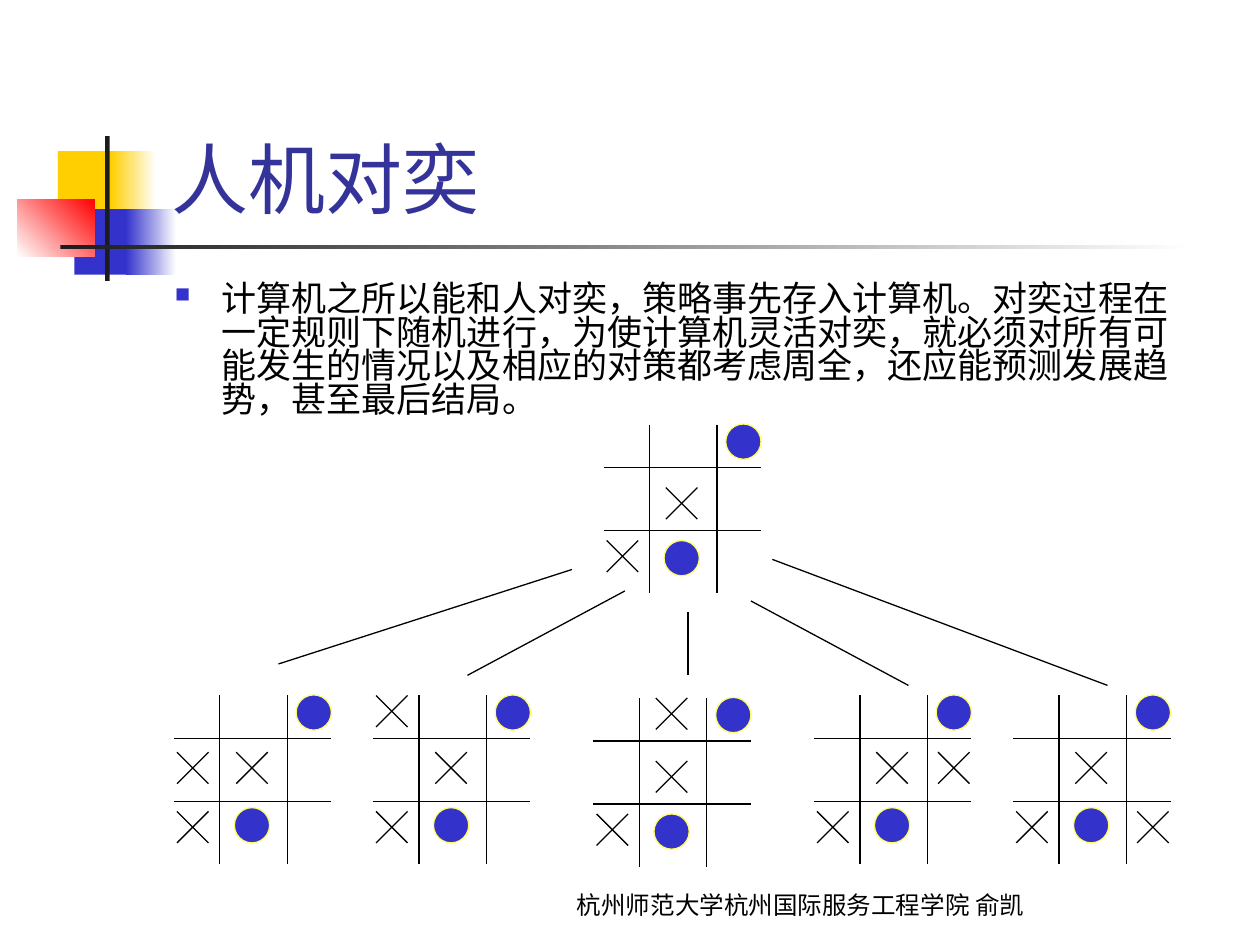
from lxml import etree
from pptx import Presentation
from pptx.dml.color import RGBColor
from pptx.enum.shapes import MSO_CONNECTOR, MSO_SHAPE
from pptx.enum.text import MSO_ANCHOR, PP_ALIGN
from pptx.oxml.ns import qn
from pptx.util import Inches, Pt

LINE = MSO_CONNECTOR.STRAIGHT
RECT, ROUND, OVAL = MSO_SHAPE.RECTANGLE, MSO_SHAPE.ROUNDED_RECTANGLE, MSO_SHAPE.OVAL
TOP, BOTTOM = MSO_ANCHOR.TOP, MSO_ANCHOR.BOTTOM
LEFT, CENTER = PP_ALIGN.LEFT, PP_ALIGN.CENTER

COLS, ROWS = 100, 75
BLACK, WHITE, DARK = "000000", "FFFFFF", "1C1C1C"
BLUE, NAVY, YELLOW, RED, PALE = "3333CC", "333399", "FFCF01", "FF0000", "FFFF66"
LATIN, CJK = "Lato", "Noto Sans CJK SC"


def rgb(value):
    """Turn a hex string into a colour."""
    return RGBColor.from_string(value)


class Deck:
    """Hold the style and the current slide, measured on a 100 by 75 grid."""

    def __init__(self):
        self.prs = Presentation()
        self.prs.slide_width, self.prs.slide_height = Inches(10), Inches(7.5)
        self.s = self.prs.slides.add_slide(self.prs.slide_layouts[6])

    def at(self, x, y):
        """Turn columns and rows into slide lengths."""
        return (round(self.prs.slide_width * x / COLS),
                round(self.prs.slide_height * y / ROWS))

    def shape(self, kind, x, y, w, h, fill, fade=None, angle=0, line=None, adj=None):
        """Add a preset shape with a plain or fading fill."""
        sp = self.s.shapes.add_shape(kind, *self.at(x, y), *self.at(w, h))
        sp.shadow.inherit = False
        if adj is not None:
            sp.adjustments[0] = adj
        if fade:
            sp.fill.gradient()
            sp.fill.gradient_angle = angle
            for stop, color, place in zip(sp.fill.gradient_stops, (fill, fade), (0, 1)):
                stop.color.rgb, stop.position = rgb(color), place
        else:
            sp.fill.solid()
            sp.fill.fore_color.rgb = rgb(fill)
        if line:
            sp.line.color.rgb, sp.line.width = rgb(line), Pt(0.75)
        else:
            sp.line.fill.background()

    def line(self, x1, y1, x2, y2):
        """Add a thin black line."""
        sp = self.s.shapes.add_connector(LINE, *self.at(x1, y1), *self.at(x2, y2))
        sp.line.color.rgb, sp.line.width = rgb(BLACK), Pt(0.75)
        etree.SubElement(sp._element.spPr, qn("a:effectLst"))

    def text(self, x, y, w, h, words, size, font=LATIN, color=BLACK,
             anchor=TOP, align=LEFT, spacing=1.0):
        """Add a one-paragraph text box and return the paragraph."""
        tf = self.s.shapes.add_textbox(*self.at(x, y), *self.at(w, h)).text_frame
        tf.word_wrap, tf.vertical_anchor = True, anchor
        p = tf.paragraphs[0]
        p.alignment, p.line_spacing = align, spacing
        r = p.add_run()
        r.text = words
        r.font.name, r.font.size, r.font.color.rgb = font, Pt(size), rgb(color)
        etree.SubElement(r.font._element, qn("a:ea"), typeface=CJK)
        return p

    def bullet(self, p, indent, color):
        """Give a paragraph a small square bullet and a hanging indent."""
        width = self.at(indent, 0)[0]
        pPr = p._p.get_or_add_pPr()
        pPr.set("marL", str(width))
        pPr.set("indent", str(-width))
        clr = etree.SubElement(pPr, qn("a:buClr"))
        etree.SubElement(clr, qn("a:srgbClr"), val=color)
        etree.SubElement(pPr, qn("a:buSzPct"), val="60000")
        etree.SubElement(pPr, qn("a:buChar"), char="■")

    def cross(self, x, y, r=1.25):
        """Add a cross around a centre."""
        for d in (r, -r):
            self.line(x - d, y - r, x + d, y + r)

    def disc(self, x, y, r=1.4):
        """Add a disc around a centre."""
        self.shape(OVAL, x - r, y - r, 2 * r, 2 * r, BLUE, line=PALE)

    def board(self, x, y, crosses, mid=5.75, low=10.3):
        """Add a noughts and crosses board with crosses in (column, row) cells."""
        for dy in (3.4, 8.4):
            self.line(x, y + dy, x + 12.5, y + dy)
        for dx in (3.65, 9):
            self.line(x + dx, y, x + dx, y + 13.4)
        centres, levels = (1.5, 6.2, 11.1), (1.25, mid, 10.45)
        for col, row in crosses:
            self.cross(x + centres[col], y + levels[row])
        self.disc(x + centres[1], y + low)
        self.disc(x + centres[2], y + 1.35)


def main():
    """Build and save the slide."""
    d = Deck()
    d.shape(RECT, 4.6, 12, 4.8, 5.2, YELLOW)
    d.shape(RECT, 8.8, 12, 3.6, 5.2, YELLOW, WHITE)
    d.shape(RECT, 5.9, 16.6, 4.6, 5.2, BLUE)
    d.shape(RECT, 10, 16.6, 4, 5.2, BLUE, WHITE)
    d.shape(ROUND, 1.4, 15.8, 6.1, 4.6, WHITE, RED, angle=45, adj=0)
    d.shape(RECT, 8.35, 10.8, 0.35, 11.5, DARK)
    d.shape(ROUND, 4.8, 19.45, 90, 0.35, DARK, WHITE, adj=0.05)

    d.text(40.6, 70.2, 45.9, 3.3, "杭州师范大学杭州国际服务工程学院 俞凯", 14,
           anchor=BOTTOM, align=CENTER, spacing=0.96)
    d.text(12.6, 2.3, 85.2, 16, "人机对奕", 44, CJK, NAVY, BOTTOM)
    p = d.text(12.9, 22.1, 81.9, 13.1,
               "计算机之所以能和人对奕，策略事先存入计算机。对奕过程在一定规则下随机进行，"
               "为使计算机灵活对奕，就必须对所有可能发生的情况以及相应的对策都考虑周全，"
               "还应能预测发展趋势，甚至最后结局。", 20, spacing=0.8)
    p.space_before = Pt(7.9)
    d.bullet(p, 3.7, BLUE)

    start = [(1, 1), (0, 2)]
    d.board(47.9, 33.7, start, mid=6.25, low=10.6)
    for x, move in ((13.8, (0, 1)), (29.6, (0, 0)), (64.6, (2, 1)), (80.4, (2, 2))):
        d.board(x, 55.2, start + [move])
    d.board(47.1, 55.4, start + [(1, 0)], mid=6.25, low=10.6)

    for branch in ((45.4, 45.2, 22.1, 52.7), (49.6, 46.9, 37.1, 53.6),
                   (54.6, 48.6, 54.6, 53.6), (59.6, 47.7, 72.1, 54.4),
                   (61.3, 44.4, 87.9, 54.4)):
        d.line(*branch)
    d.prs.save("out.pptx")


if __name__ == "__main__":
    main()
